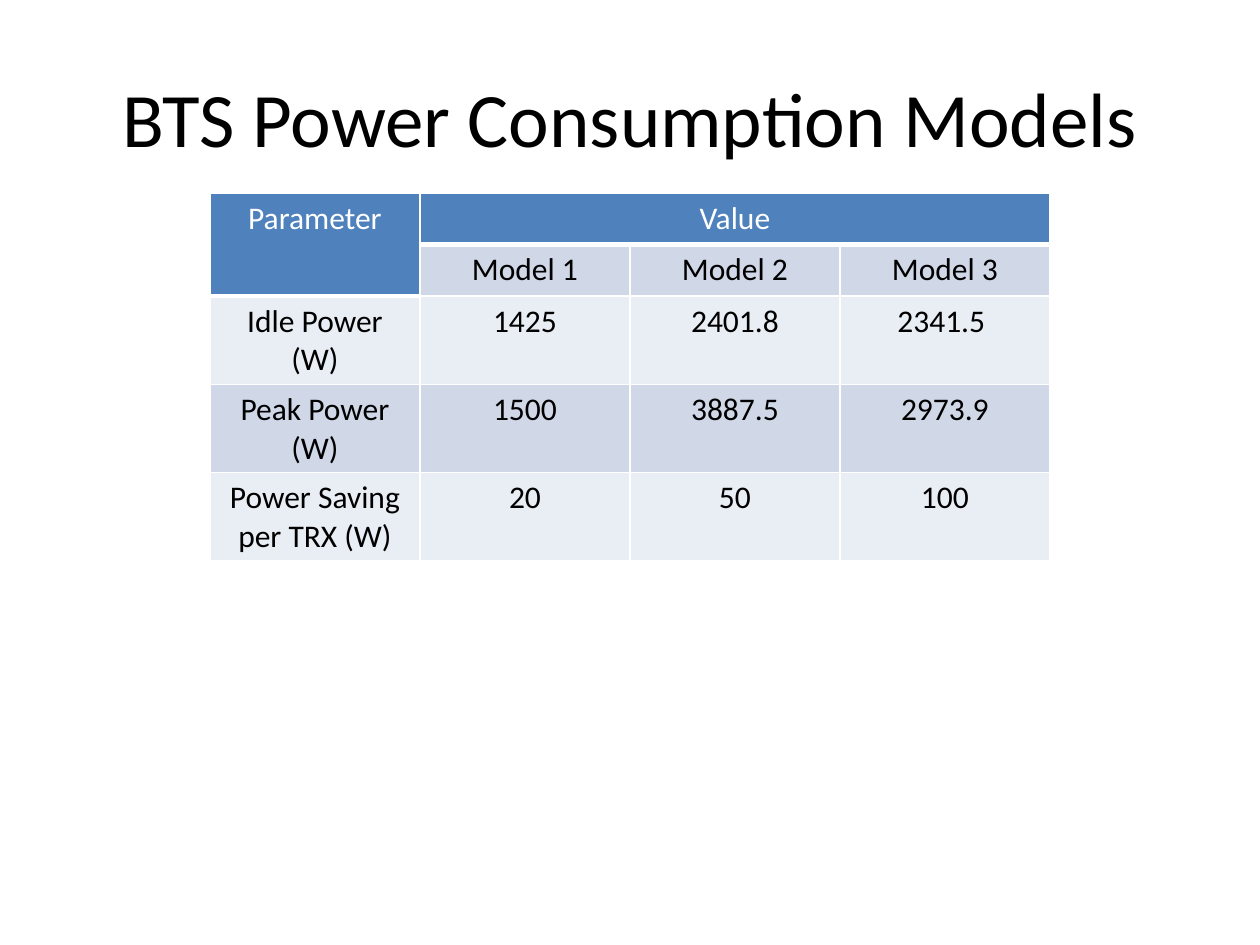
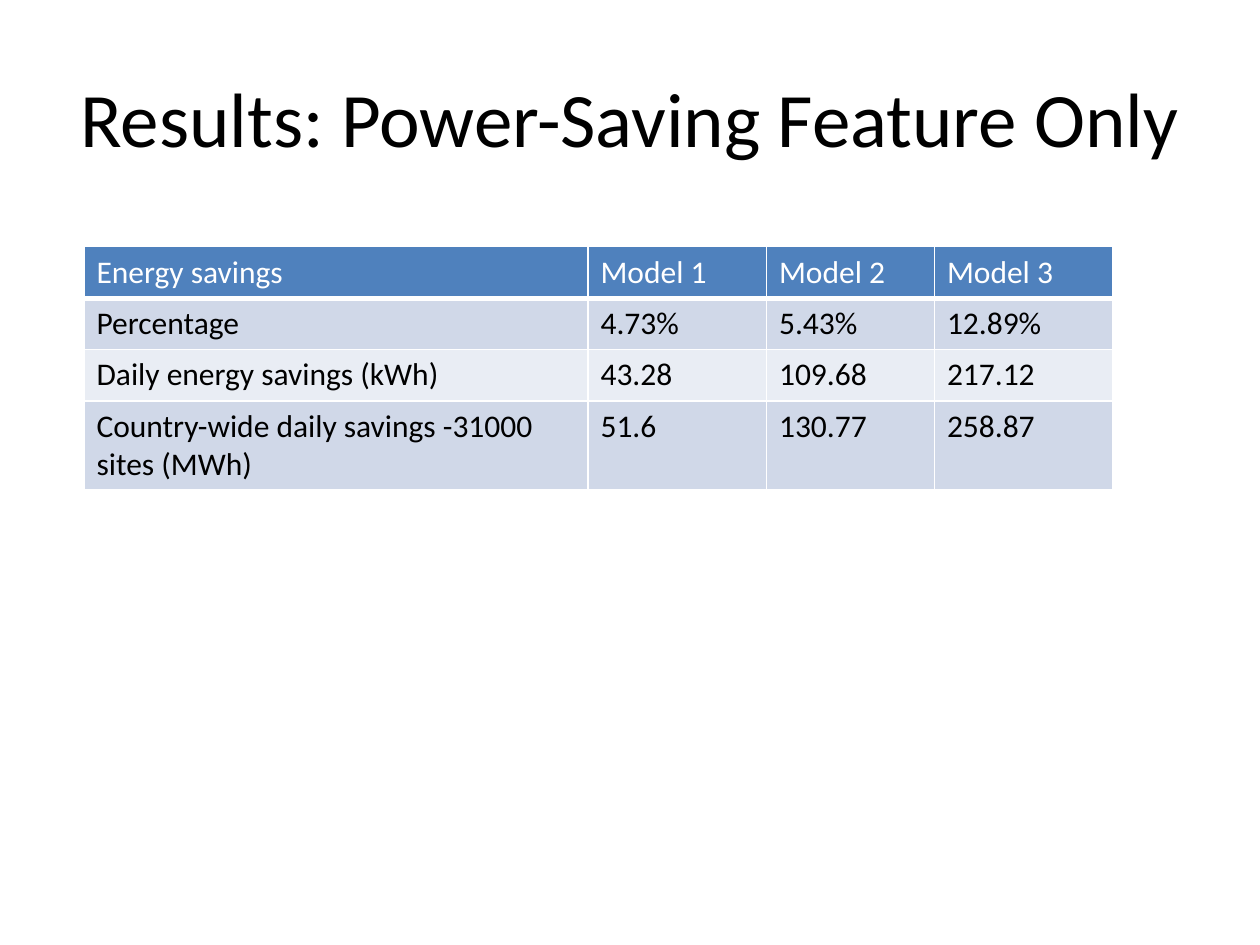
from dataclasses import dataclass

from lxml import etree
from pptx import Presentation
from pptx.dml.color import RGBColor
from pptx.enum.text import MSO_ANCHOR, PP_ALIGN
from pptx.oxml.ns import qn
from pptx.slide import Slide
from pptx.table import _Cell
from pptx.util import Inches, Length, Pt

LEFT, CENTER = PP_ALIGN.LEFT, PP_ALIGN.CENTER
MIDDLE = MSO_ANCHOR.MIDDLE

HEADER_BLUE = RGBColor(0x4F, 0x81, 0xBD)
BAND_DARK = RGBColor(0xD0, 0xD8, 0xE8)
BAND_LIGHT = RGBColor(0xE9, 0xED, 0xF4)
WHITE = RGBColor(0xFF, 0xFF, 0xFF)
BLACK = RGBColor(0x00, 0x00, 0x00)

FONT = "Calibri"
TITLE_SIZE, TABLE_SIZE = Pt(44), Pt(18)
RULE, HEADER_RULE = Pt(1), Pt(3)

# The slide is a grid of 120 columns by 90 rows
SLIDE_WIDTH, SLIDE_HEIGHT = Inches(10), Inches(7.5)
ROW_HEIGHT = 4.9


def columns(count: float) -> Length:
    return Length(round(SLIDE_WIDTH * count / 120))


def rows(count: float) -> Length:
    return Length(round(SLIDE_HEIGHT * count / 90))


@dataclass(frozen=True)
class Merge:
    first: tuple[int, int]
    last: tuple[int, int]


@dataclass(frozen=True)
class TableSlide:
    title: str
    left: float
    top: float
    widths: tuple[int, ...]
    align: PP_ALIGN
    cells: tuple[tuple[str, ...], ...]
    merges: tuple[Merge, ...] = ()


TABLE_SLIDES = (
    TableSlide(
        title="BTS Power Consumption Models",
        left=20, top=18.4, widths=(20,) * 4, align=CENTER,
        cells=(
            ("Parameter", "Value", "", ""),
            ("", "Model 1", "Model 2", "Model 3"),
            ("Idle Power (W)", "1425", "2401.8", "2341.5 "),
            ("Peak Power (W)", "1500", "3887.5", "2973.9"),
            ("Power Saving per TRX (W)", "20", "50", "100"),
        ),
        merges=(Merge((0, 0), (1, 0)), Merge((0, 1), (0, 3))),
    ),
    TableSlide(
        title="Results: Power-Saving Feature Only",
        left=8, top=23.5, widths=(48, 17, 16, 17), align=LEFT,
        cells=(
            ("Energy savings", "Model 1", "Model 2", "Model 3"),
            ("Percentage", "4.73%", "5.43%", "12.89%"),
            ("Daily energy savings (kWh)", "43.28", "109.68", "217.12"),
            ("Country-wide daily savings -31000 sites (MWh)",
             "51.6", "130.77", "258.87"),
        ),
    ),
)


def add_title(slide: Slide, title: str) -> None:
    frame = slide.shapes.add_textbox(
        columns(6), rows(3.6), columns(108), rows(15)).text_frame
    frame.word_wrap = True
    frame.vertical_anchor = MIDDLE
    heading = frame.paragraphs[0]
    heading.text = title
    heading.alignment = CENTER
    heading.font.name = FONT
    heading.font.size = TITLE_SIZE
    heading.font.color.rgb = BLACK


def set_borders(cell: _Cell, bottom: Length) -> None:
    """Draw white rules; they must precede the fill in the cell's XML."""
    properties = cell._tc.get_or_add_tcPr()
    sides = (("a:lnL", RULE), ("a:lnR", RULE), ("a:lnT", RULE), ("a:lnB", bottom))
    for position, (side, width) in enumerate(sides):
        line = etree.Element(qn(side), w=str(width))
        fill = etree.SubElement(line, qn("a:solidFill"))
        etree.SubElement(fill, qn("a:srgbClr"), val=str(WHITE))
        properties.insert(position, line)


def style_cell(cell: _Cell, row: int, text: str, align: PP_ALIGN) -> None:
    is_header = row == 0
    band = BAND_DARK if row % 2 else BAND_LIGHT
    cell.fill.solid()
    cell.fill.fore_color.rgb = HEADER_BLUE if is_header else band
    set_borders(cell, HEADER_RULE if is_header else RULE)
    entry = cell.text_frame.paragraphs[0]
    entry.text = text
    entry.alignment = align
    entry.font.name = FONT
    entry.font.size = TABLE_SIZE
    entry.font.bold = False
    entry.font.color.rgb = WHITE if is_header else BLACK


def add_data_table(slide: Slide, content: TableSlide) -> None:
    row_count = len(content.cells)
    table = slide.shapes.add_table(
        row_count, len(content.widths),
        columns(content.left), rows(content.top),
        columns(sum(content.widths)), rows(ROW_HEIGHT * row_count)).table
    for column, width in zip(table.columns, content.widths):
        column.width = columns(width)
    for row, values in enumerate(content.cells):
        table.rows[row].height = rows(ROW_HEIGHT)
        for column, value in enumerate(values):
            style_cell(table.cell(row, column), row, value, content.align)
    for merge in content.merges:
        table.cell(*merge.first).merge(table.cell(*merge.last))


def main() -> None:
    deck = Presentation()
    deck.slide_width, deck.slide_height = SLIDE_WIDTH, SLIDE_HEIGHT
    blank = deck.slide_layouts[6]
    for content in TABLE_SLIDES:
        slide = deck.slides.add_slide(blank)
        add_title(slide, content.title)
        add_data_table(slide, content)
    deck.save("out.pptx")


if __name__ == "__main__":
    main()
